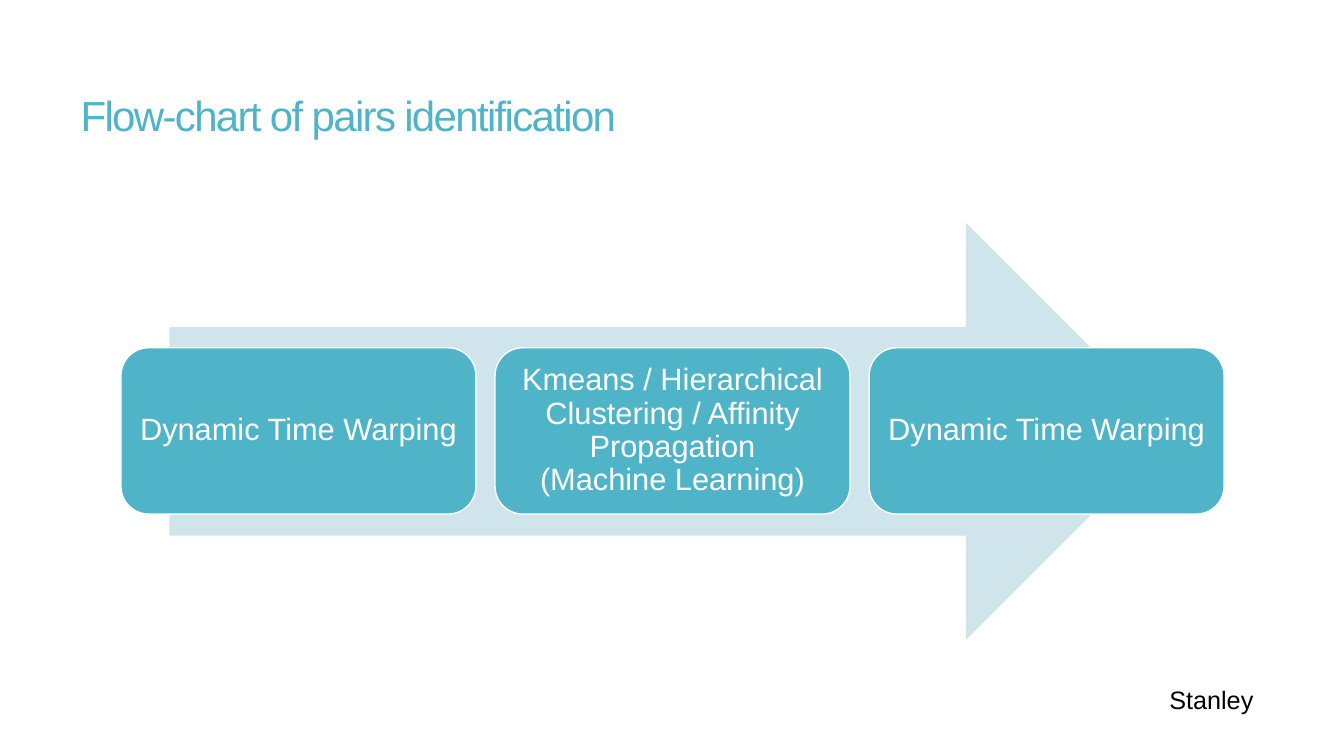
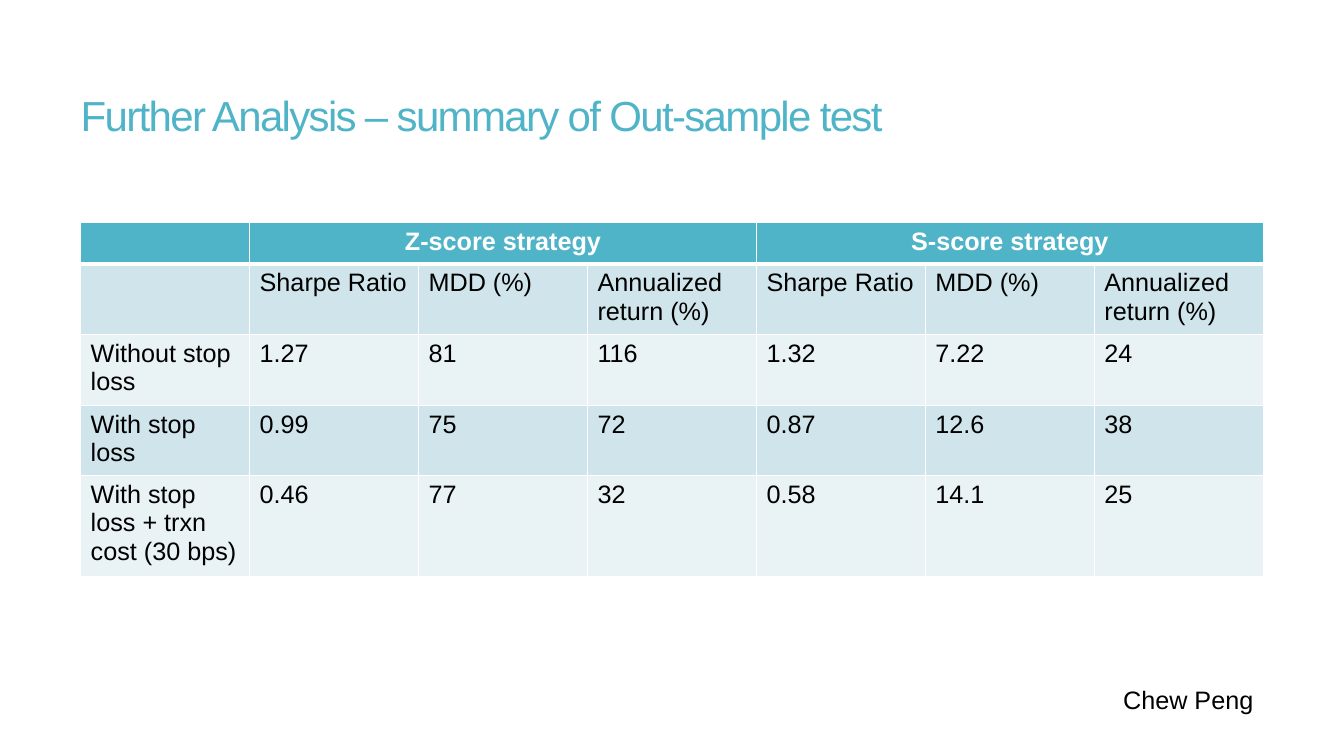
from lxml import etree
from pptx import Presentation
from pptx.dml.color import RGBColor
from pptx.enum import shapes, text
from pptx.oxml import ns
from pptx.util import Emu, Pt

PX = 9144  # EMU in one px, 100 px to the inch
FONT = "Arial"
COLORS = {"teal": "50B4C8", "pale": "D0E5EB", "mist": "E9F2F5",
          "white": "FFFFFF", "black": "000000"}
LEFT, WIDTH = 80, 1173  # content column shared by the slides
ALIGN = text.PP_ALIGN
SHAPE = shapes.MSO_SHAPE


def px(*lengths):
    return [Emu(length * PX) for length in lengths]


def rgb(name):
    return RGBColor.from_string(COLORS[name])


class Deck:
    """Holds the shared style and the current slide."""

    def __init__(self):
        self.deck = Presentation()
        self.deck.slide_width, self.deck.slide_height = px(1333, 750)
        self.page = None

    def add_page(self, title, speaker):
        self.page = self.deck.slides.add_slide(self.deck.slide_layouts[6])
        self.add_text(title, (LEFT, 55, WIDTH, 117), 30, "teal", spacing=-120,
                      margins=(0, 5), anchor=text.MSO_ANCHOR.MIDDLE,
                      layout={"space_after": Pt(6)})
        self.add_text(speaker, (1047, 674, 206, 40), 18, "black",
                      layout={"alignment": ALIGN.RIGHT})

    def set_text(self, frame, words, size, color, bold=False, spacing=0, layout=None):
        para = frame.paragraphs[0]
        para.text = words
        for name, value in (layout or {}).items():
            setattr(para, name, value)
        for span in para.runs:
            for name, value in {"name": FONT, "size": Pt(size), "bold": bold}.items():
                setattr(span.font, name, value)
            span.font.color.rgb = rgb(color)
            if spacing:
                span._r.get_or_add_rPr().set("spc", str(spacing))

    def set_frame(self, frame, margins, anchor):
        side, top = px(*margins)
        values = {"word_wrap": True, "vertical_anchor": anchor,
                  "margin_left": side, "margin_right": side,
                  "margin_top": top, "margin_bottom": top}
        for name, value in values.items():
            setattr(frame, name, value)

    def add_text(self, words, at, size, color, margins=(10, 5),
                 anchor=text.MSO_ANCHOR.TOP, **style):
        box = self.page.shapes.add_textbox(*px(*at))
        self.set_frame(box.text_frame, margins, anchor)
        self.set_text(box.text_frame, words, size, color, **style)

    def add_shape(self, kind, at, fill, line=None):
        shape = self.page.shapes.add_shape(kind, *px(*at))
        shape.shadow.inherit = False
        shape.fill.solid()
        shape.fill.fore_color.rgb = rgb(fill)
        if line:
            shape.line.color.rgb = rgb(line)
            shape.line.width = Pt(1)
        else:
            shape.line.fill.background()
        return shape

    def add_step(self, words, at):
        step = self.add_shape(SHAPE.ROUNDED_RECTANGLE, at, "teal", "white")
        self.set_frame(step.text_frame, (9, 9), text.MSO_ANCHOR.MIDDLE)
        self.set_text(step.text_frame, words, 22, "white",
                      layout={"alignment": ALIGN.CENTER, "line_spacing": 0.9})

    def add_borders(self, cell, widths):
        props = cell._tc.get_or_add_tcPr()
        for side in "LRTB":
            line = etree.SubElement(props, ns.qn("a:ln" + side),
                                    w=str(Pt(widths.get(side, 1))))
            fill = etree.SubElement(line, ns.qn("a:solidFill"))
            etree.SubElement(fill, ns.qn("a:srgbClr"), val=COLORS["white"])

    def add_table(self, rows, at, merges):
        table = self.page.shapes.add_table(len(rows), len(rows[0]), *px(*at)).table
        table.first_row = table.horz_banding = False
        thick = {0: {"B": 3}, 1: {"T": 3}}  # rule under the header
        for r, row in enumerate(rows):
            header = r == 0
            fill = "teal" if header else ("mist", "pale")[r % 2]
            for c, words in enumerate(row):
                cell = table.cell(r, c)
                self.add_borders(cell, thick.get(r, {}))
                cell.fill.solid()
                cell.fill.fore_color.rgb = rgb(fill)
                if words:
                    self.set_text(cell.text_frame, words, 18,
                                  "white" if header else "black", bold=header,
                                  layout={"alignment": ALIGN.CENTER if header else ALIGN.LEFT})
        for first, last in merges:
            table.cell(0, first).merge(table.cell(0, last))


def main():
    slides = Deck()

    # Flow chart: three steps on an arrow
    slides.add_page("Flow-chart of pairs identification", "Stanley")
    slides.add_shape(SHAPE.RIGHT_ARROW, (168, 221, 997, 414), "pale")
    steps = ["Dynamic Time Warping",
             "Kmeans / Hierarchical Clustering / Affinity Propagation\n(Machine Learning)",
             "Dynamic Time Warping "]
    step_width, gap = 352, 19
    for i, words in enumerate(steps):
        slides.add_step(words, (120 + i * (step_width + gap), 345, step_width, 165))

    # Summary table
    slides.add_page("Further Analysis – summary of Out-sample test", "Chew Peng")
    measures = ["Sharpe Ratio", "MDD (%)", "Annualized return (%)"]
    rows = [
        ["", "Z-score strategy", "", "", "S-score strategy", "", ""],
        [""] + measures * 2,
        ["Without stop loss", "1.27", "81", "116", "1.32", "7.22", "24"],
        ["With stop loss", "0.99", "75", "72", "0.87", "12.6", "38"],
        ["With stop loss + trxn cost (30 bps)", "0.46", "77", "32", "0.58", "14.1", "25"],
    ]
    slides.add_table(rows, (LEFT, 221, WIDTH, 41 * len(rows)), [(1, 3), (4, 6)])

    slides.deck.save("out.pptx")


if __name__ == "__main__":
    main()
